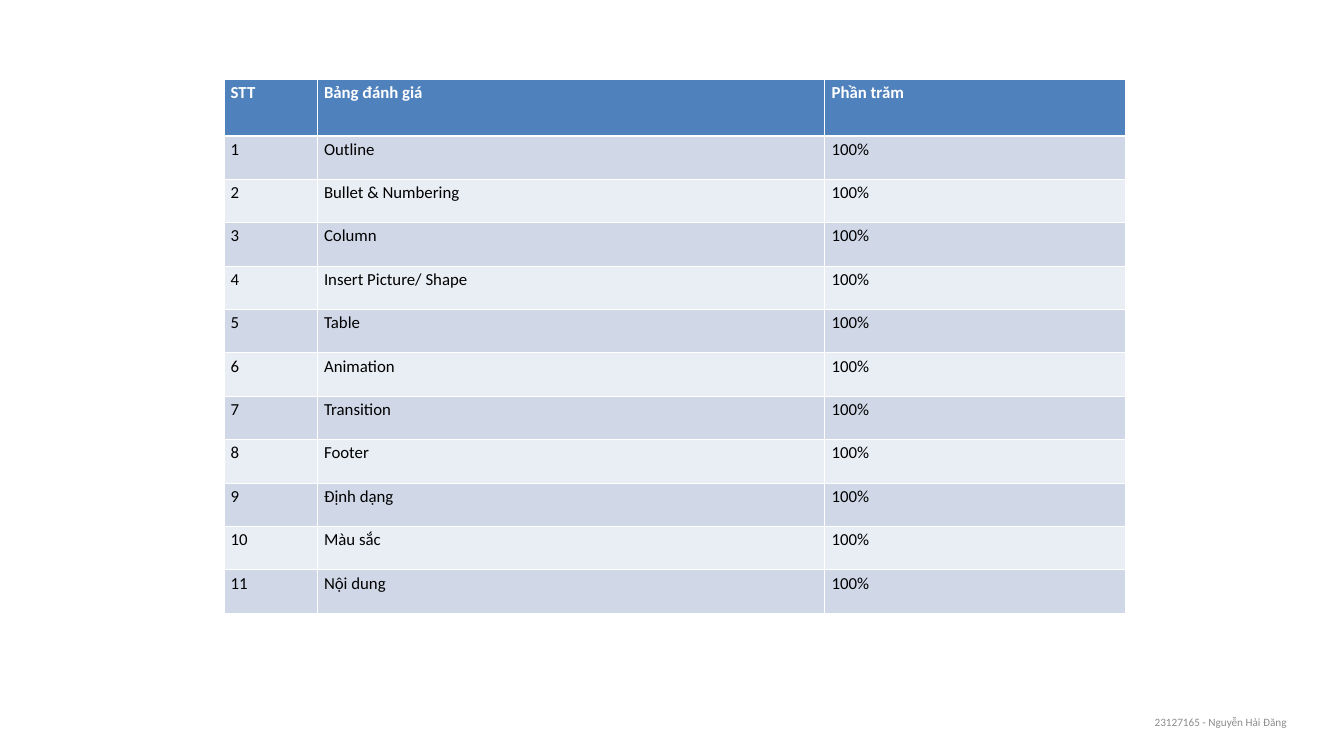
from pptx import Presentation
from pptx.dml.color import RGBColor
from pptx.enum.text import MSO_ANCHOR, PP_ALIGN
from pptx.oxml import parse_xml
from pptx.oxml.ns import nsdecls
from pptx.util import Pt

COLORS = {
    "header": "4F81BD",
    "odd_row": "D0D8E8",
    "even_row": "E9EDF4",
    "white": "FFFFFF",
    "text": "000000",
    "footer": "8C8C8C",
}
HEADINGS = ("STT", "Bảng đánh giá", "Phần trăm")
CRITERIA = (
    "Outline", "Bullet & Numbering", "Column", "Insert Picture/ Shape",
    "Table", "Animation", "Transition", "Footer", "Định dạng", "Màu sắc",
    "Nội dung",
)


class SlideBuilder:
    """Holds the shared style and the page being built."""

    font_name = "Calibri"

    def __init__(self, page):
        self.page = page

    def style(self, paragraph, size, color, bold=False):
        font = paragraph.font
        font.name = self.font_name
        font.size = Pt(size)
        font.bold = bold
        font.color.rgb = RGBColor.from_string(COLORS[color])

    def borders(self, cell, bottom, top):
        """Draw white rules around a cell; the sides are 1 pt wide."""
        properties = cell._tc.get_or_add_tcPr()
        widths = {"lnL": 1, "lnR": 1, "lnT": top, "lnB": bottom}
        for tag, width in widths.items():
            properties.append(parse_xml(
                f'<a:{tag} {nsdecls("a")} w="{Pt(width)}"><a:solidFill>'
                f'<a:srgbClr val="{COLORS["white"]}"/></a:solidFill></a:{tag}>'
            ))

    def table(self, left, top, column_widths, header_height, row_height, rows):
        height = header_height + row_height * (len(rows) - 1)
        table = self.page.shapes.add_table(
            len(rows), len(column_widths), Pt(left), Pt(top),
            Pt(sum(column_widths)), Pt(height),
        ).table
        for column, width in zip(table.columns, column_widths):
            column.width = Pt(width)
        for index, values in enumerate(rows):
            is_header = index == 0
            table.rows[index].height = Pt(header_height if is_header else row_height)
            band = "odd_row" if index % 2 else "even_row"
            for cell, value in zip(table.rows[index].cells, values):
                self.borders(cell, bottom=3 if is_header else 1,
                             top=3 if index == 1 else 1)
                cell.fill.solid()
                cell.fill.fore_color.rgb = RGBColor.from_string(
                    COLORS["header" if is_header else band])
                cell.text = value
                self.style(cell.text_frame.paragraphs[0], 18,
                           "white" if is_header else "text", is_header)

    def footer(self, left, top, width, height, text):
        box = self.page.shapes.add_textbox(Pt(left), Pt(top), Pt(width), Pt(height))
        frame = box.text_frame
        frame.word_wrap = True
        frame.vertical_anchor = MSO_ANCHOR.MIDDLE
        frame.text = text
        paragraph = frame.paragraphs[0]
        paragraph.alignment = PP_ALIGN.CENTER
        self.style(paragraph, 12, "footer")


def main():
    deck = Presentation()
    deck.slide_width, deck.slide_height = Pt(1440), Pt(810)
    blank_layout = deck.slide_layouts[6]
    builder = SlideBuilder(deck.slides.add_slide(blank_layout))

    builder.footer(1193.8, 758.9, 228.2, 28.8, "23127165 - Nguyễn Hải Đăng")
    rows = [HEADINGS]
    rows += [(str(number), name, "100%") for number, name in enumerate(CRITERIA, 1)]
    builder.table(240, 85, (100, 543.8, 322), 60.5, 46.5, rows)
    deck.save("out.pptx")


if __name__ == "__main__":
    main()
